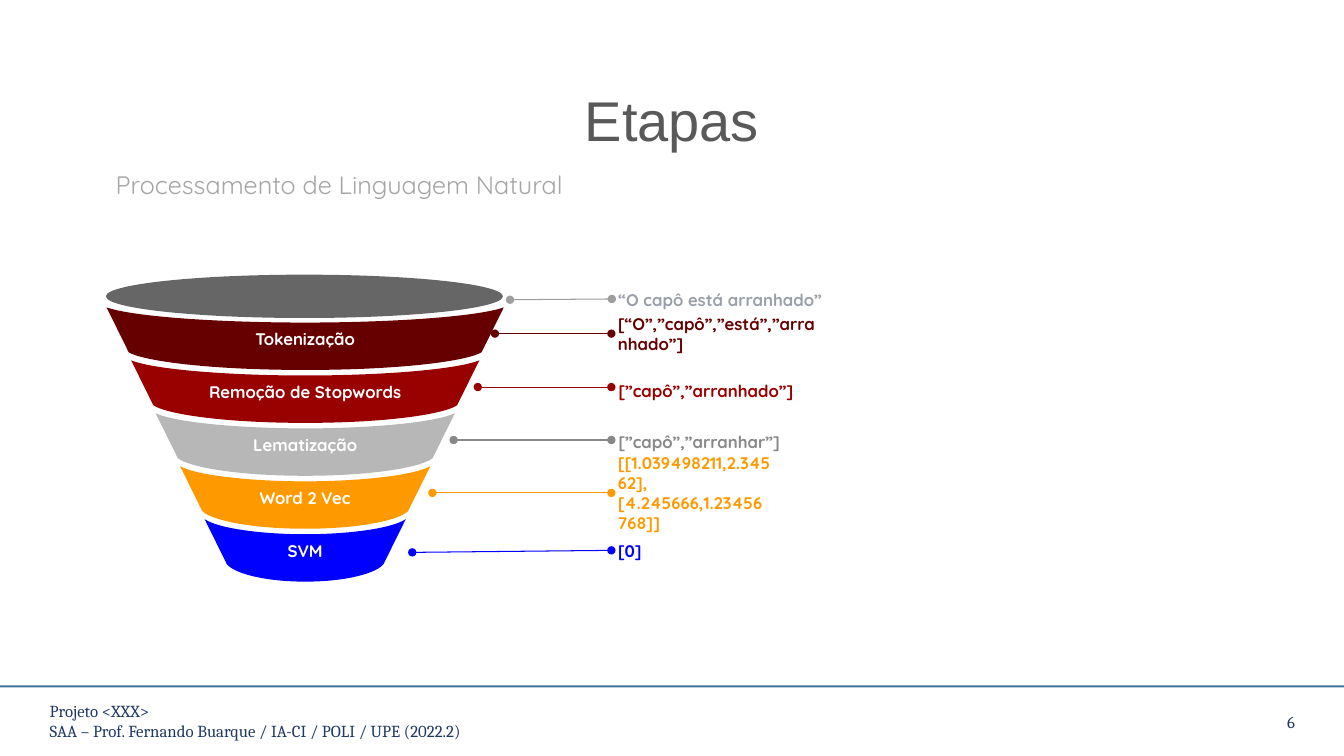
from dataclasses import dataclass
from typing import NamedTuple

from lxml import etree
from pptx import Presentation
from pptx.dml.color import RGBColor
from pptx.enum.shapes import MSO_CONNECTOR, MSO_SHAPE
from pptx.enum.text import MSO_ANCHOR, PP_ALIGN
from pptx.oxml.ns import qn
from pptx.util import Inches, Pt

LEFT, MID, RIGHT = PP_ALIGN.LEFT, PP_ALIGN.CENTER, PP_ALIGN.RIGHT
TOP, CENTRE = MSO_ANCHOR.TOP, MSO_ANCHOR.MIDDLE
STRAIGHT = MSO_CONNECTOR.STRAIGHT
RECT, OVAL = MSO_SHAPE.RECTANGLE, MSO_SHAPE.OVAL

# Grid: square cells, ten to the inch
CELL = 0.1
COLS, ROWS = 133.33, 75


class Font(NamedTuple):
    name: str
    size: float
    color: str
    bold: bool = False


@dataclass(frozen=True)
class Theme:
    title: Font = Font("Arial", 40, "595959")
    lead: Font = Font("Quicksand", 18, "A5A5A5")
    foot: Font = Font("Cambria", 12, "1F3864")
    page: Font = Font("Cambria", 12, "203864")
    band: Font = Font("Quicksand", 12, "FFFFFF", True)
    rule: str = "41719C"
    mouth: str = "666666"
    thin: float = 0.75

    def note(self, color: str) -> Font:
        return Font("Quicksand", 12, color, True)


class Point(NamedTuple):
    x: float
    y: float


class Box(NamedTuple):
    left: float
    top: float
    width: float
    height: float


class Pad(NamedTuple):
    side: float
    top: float
    base: float


class Label(NamedTuple):
    box: Box
    lines: list[str]
    font: Font
    align: PP_ALIGN
    anchor: MSO_ANCHOR
    pad: Pad


class Band(NamedTuple):
    text: str
    color: str


class Note(NamedTuple):
    text: str
    color: str
    line: str
    start: Point
    end: Point
    box: Box


THEME = Theme()
NO_PAD, FOOT_PAD = Pad(0, 0, 0), Pad(1, 0.5, 0.5)

LABELS = [
    Label(Box(3.95, 69.55, 61.8, 4),
          ["Projeto <XXX>", "SAA – Prof. Fernando Buarque / IA-CI / POLI / UPE (2022.2)"],
          THEME.foot, LEFT, CENTRE, FOOT_PAD),
    Label(Box(121.55, 69.65, 7.9, 3.9), ["6"], THEME.page, RIGHT, CENTRE, FOOT_PAD),
    Label(Box(10.5, 7.4, 112.3, 8.3), ["Etapas"], THEME.title, MID, TOP, Pad(1, 1.1, 0)),
    Label(Box(10.5, 15.8, 51.6, 5), ["Processamento de Linguagem Natural"],
          THEME.lead, LEFT, TOP, Pad(1, 1, 1)),
]

BANDS = [
    Band("Tokenização", "660000"),
    Band("Remoção de Stopwords", "990000"),
    Band("Lematização", "B7B7B7"),
    Band("Word 2 Vec", "FF9900"),
    Band("SVM", "0000FF"),
]

NOTES = [
    Note("“O capô está arranhado”", "999FA9", "9E9E9E",
         Point(50.6, 29.74), Point(60.7, 29.66), Box(61.35, 27.8, 22.2, 3.8)),
    Note("[“O”,”capô”,”está”,”arranhado”]", "660000", "660000",
         Point(49.1, 33.1), Point(60.65, 33.1), Box(61.3, 31.2, 20, 3.8)),
    Note("[”capô”,”arranhado”]", "990000", "990000",
         Point(47.4, 38.4), Point(60.65, 38.4), Box(61.35, 36.9, 20, 3.8)),
    Note("[”capô”,”arranhar”]", "888888", "888888",
         Point(45, 43.65), Point(60.65, 43.65), Box(61.35, 41.95, 20, 3.8)),
    Note("[[1.039498211,2.34562],[4.245666,1.23456768]]", "FF9900", "FF9900",
         Point(42.9, 48.9), Point(60.65, 48.9), Box(61.3, 47, 15.2, 3.8)),
    Note("[0]", "0000FF", "0000FF",
         Point(40.9, 54.8), Point(60.65, 54.6), Box(61.3, 52.7, 15.3, 3.8)),
]

# Funnel: axis, first band's top and half width, change per band, taper of a side
AXIS, BROW, HALF = 30.28, 30.5, 19.7
DROP, SHRINK, TAPER = 5.25, 2.43, 2.2


def grid(*cells: float) -> list[int]:
    return [Inches(cell * CELL) for cell in cells]


def paint(shape, color: str) -> None:
    shape.shadow.inherit = False
    shape.fill.solid()
    shape.fill.fore_color.rgb = RGBColor.from_string(color)
    shape.line.fill.background()


def write(shape, lines: list[str], font: Font, align: PP_ALIGN,
          anchor: MSO_ANCHOR, pad: Pad) -> None:
    frame = shape.text_frame
    frame.word_wrap = True
    frame.vertical_anchor = anchor
    frame.margin_left = frame.margin_right = grid(pad.side)[0]
    frame.margin_top, frame.margin_bottom = grid(pad.top, pad.base)
    frame.text = "\n".join(lines)
    for para in frame.paragraphs:
        para.alignment = align
        para.font.name = font.name
        para.font.size = Pt(font.size)
        para.font.bold = font.bold
        para.font.color.rgb = RGBColor.from_string(font.color)


def put(slide, label: Label) -> None:
    shape = slide.shapes.add_textbox(*grid(*label.box))
    write(shape, label.lines, label.font, label.align, label.anchor, label.pad)


def arc(half: float, rows: list[float], bends: list[float]) -> list[Point]:
    """Two joined cubic curves, left to right; rows and bends run from rim to axis."""
    spans = [half, half * bends[0], half * bends[1], 0]
    left = [Point(AXIS - x, y) for x, y in zip(spans, rows)]
    right = [Point(AXIS + x, y) for x, y in zip(spans, rows)]
    return left + right[-2::-1]


def bend(shape, line, points: list[Point]) -> None:
    """Turn a straight segment into a cubic curve through its three points."""
    curve = etree.Element(qn("a:cubicBezTo"))
    for point in points:
        x, y = grid(*point)
        etree.SubElement(curve, qn("a:pt"), x=str(x - shape.left), y=str(y - shape.top))
    line.getparent().replace(line, curve)


def draw_band(slide, rank: int, band: Band) -> None:
    top, half = BROW + rank * DROP, HALF - rank * SHRINK
    brim = arc(half, [top, top + 0.95, top + 1.5, top + 1.5], [0.86, 0.42])
    base = arc(half - TAPER, [top + 4.45, top + 5.3, top + 6.2, top + 6.2], [0.92, 0.55])[::-1]
    start, *rest = [grid(*point) for point in brim[::3] + base[::3]]
    form = slide.shapes.build_freeform(*start, scale=1.0)
    form.add_line_segments(rest, close=True)
    shape = form.convert_to_shape()
    lines = list(shape.element.iter(qn("a:lnTo")))
    curves = [brim[1:4], brim[4:], base[1:4], base[4:]]
    for line, curve in zip(lines[:2] + lines[3:5], curves):
        bend(shape, line, curve)
    paint(shape, band.color)
    write(shape, [band.text], THEME.band, MID, CENTRE, Pad(0.7, 0.4, 0.4))


def draw_note(slide, note: Note) -> None:
    link = slide.shapes.add_connector(STRAIGHT, *grid(*note.start, *note.end))
    link.line.width = Pt(THEME.thin)
    link.line.color.rgb = RGBColor.from_string(note.line)
    props = link.line.fill._xPr
    for tag in ("a:headEnd", "a:tailEnd"):
        etree.SubElement(props, qn(tag), type="oval")
    etree.SubElement(props.getparent(), qn("a:effectLst"))
    put(slide, Label(note.box, [note.text], THEME.note(note.color), LEFT, CENTRE, NO_PAD))


def main() -> None:
    deck = Presentation()
    deck.slide_width, deck.slide_height = grid(COLS, ROWS)
    slide = deck.slides.add_slide(deck.slide_layouts[6])
    rule = slide.shapes.add_shape(RECT, *grid(0, 68, COLS, 0.2))
    paint(rule, THEME.rule)
    for label in LABELS:
        put(slide, label)
    for rank, band in enumerate(BANDS):
        draw_band(slide, rank, band)
    mouth = slide.shapes.add_shape(OVAL, *grid(10.5, 27.25, 39.4, 4.3))
    paint(mouth, THEME.mouth)
    for note in NOTES:
        draw_note(slide, note)
    deck.save("out.pptx")


if __name__ == "__main__":
    main()
